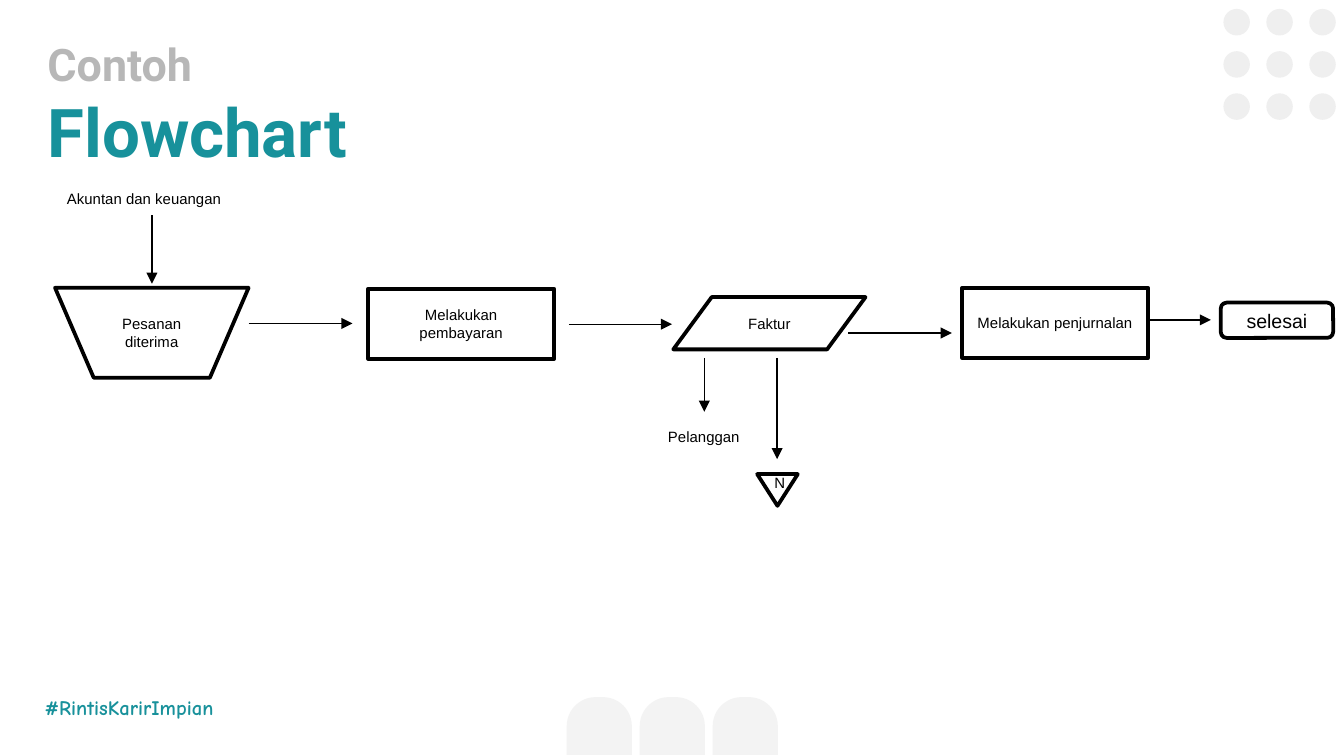
from itertools import product

from lxml import etree
from pptx import Presentation
from pptx.dml import color
from pptx.enum import shapes, text
from pptx.oxml import ns
from pptx.util import Pt

BLACK, WHITE, TEAL = "000000", "FFFFFF", "18919B"
Kind = shapes.MSO_SHAPE


def paint(target, hex_color):
    """Give a fill a solid colour."""
    target.solid()
    target.fore_color.rgb = color.RGBColor.from_string(hex_color)


def style_text(para, size, hex_color, font="Arial", bold=False):
    """Format every run of a paragraph."""
    for span in para.runs:
        span.font.size = Pt(size)
        span.font.name = font
        span.font.bold = bold
        span.font.color.rgb = color.RGBColor.from_string(hex_color)


def add_plain(page, kind, box, fill):
    """Add a filled preset shape without shadow or outline."""
    shape = page.shapes.add_shape(kind, *map(Pt, box))
    shape.shadow.inherit = False
    paint(shape.fill, fill)
    shape.line.fill.background()
    return shape


def add_node(page, kind, box, label, size=8):
    """Add an outlined flowchart symbol with a centred label."""
    node = add_plain(page, kind, box, WHITE)
    paint(node.line.fill, BLACK)
    node.line.width = Pt(2)
    node.text_frame.text = label
    para = node.text_frame.paragraphs[0]
    para.alignment = text.PP_ALIGN.CENTER
    style_text(para, size, BLACK)


def add_arrow(page, start, end):
    """Add a thin black arrow between two points."""
    arrow = page.shapes.add_connector(
        shapes.MSO_CONNECTOR.STRAIGHT, *map(Pt, start + end))
    paint(arrow.line.fill, BLACK)
    arrow.line.width = Pt(0.75)
    properties = arrow._element.spPr
    etree.SubElement(arrow.line._get_or_add_ln(), ns.qn("a:tailEnd"), type="triangle")
    etree.SubElement(properties, ns.qn("a:effectLst"))


def add_label(page, box, label, size=8, hex_color=BLACK, font="Arial", bold=False, wrap=False):
    """Add a one-line text box."""
    frame = page.shapes.add_textbox(*map(Pt, box)).text_frame
    frame.word_wrap = wrap
    frame.text = label
    style_text(frame.paragraphs[0], size, hex_color, font, bold)
    return frame


def add_arches(page, left, top):
    """Add the row of three arches at the foot of the page."""
    for column in range(3):
        arch = add_plain(page, Kind.ROUND_2_SAME_RECTANGLE,
                         (left + column * 39.1, top, 34.9, 31), "F3F3F3")
        arch.adjustments[0] = 0.5
        arch.adjustments[1] = 0


def add_dots(page, left, top):
    """Add the three by three grid of dots in the corner."""
    for row, column in product(range(3), repeat=2):
        add_plain(page, Kind.OVAL,
                  (left + column * 23, top + row * 22.6, 14.2, 14.2), "EFEFEF")


def add_heading(page, box):
    """Place and format the two-line title."""
    title = page.shapes.title
    title.left, title.top, title.width, title.height = map(Pt, box)
    frame = title.text_frame
    frame.text = "Contoh\nFlowchart"
    frame.auto_size = text.MSO_AUTO_SIZE.NONE
    frame.vertical_anchor = text.MSO_ANCHOR.TOP
    frame.margin_left = frame.margin_right = frame.margin_bottom = 0
    frame.margin_top = Pt(0.72)
    for para, size, hue in zip(frame.paragraphs, (24, 36), ("B7B7B7", "17919B")):
        para.alignment = text.PP_ALIGN.LEFT
        para._p.get_or_add_pPr().set("marL", str(Pt(0.9)))
        style_text(para, size, hue, "Roboto", True)


def add_hashtag(page, box):
    """Add the hashtag in the lower left corner."""
    frame = add_label(page, box, "#RintisKarirImpian", 11, TEAL, "Comic Neue", True, True)
    frame.margin_left = frame.margin_right = Pt(7.2)
    frame.margin_top = frame.margin_bottom = Pt(7.2)


def add_flowchart(page, left, top):
    """Add the flowchart, with its parts placed from its top left corner."""
    nodes = [
        (Kind.FLOWCHART_MANUAL_OPERATION, (0.7, 56.2, 103.7, 48.2), "Pesanan diterima", 8),
        (Kind.FLOWCHART_PROCESS, (168.5, 56.7, 99.6, 37.6), "Melakukan pembayaran", 8),
        (Kind.FLOWCHART_DATA, (331.9, 61.2, 103, 28), "Faktur", 8),
        (Kind.FLOWCHART_PROCESS, (486.7, 56.2, 99.4, 37.6), "Melakukan penjurnalan", 8),
        (Kind.FLOWCHART_ALTERNATE_PROCESS, (625.2, 64.1, 60.2, 18.9), "selesai", 10.5),
        (Kind.FLOWCHART_MERGE, (376.8, 156, 21.8, 17), "N", 8),
    ]
    arrows = [
        ((52.6, 17.3), (52.6, 54)),
        ((104.4, 75.3), (160, 75.3)),
        ((276, 75.7), (331.2, 75.7)),
        ((425.7, 80.4), (481.1, 80.4)),
        ((586.1, 73.4), (619.9, 73.4)),
        ((348.5, 93.8), (348.5, 122.6)),
        ((387.5, 93.8), (387.5, 148)),
    ]
    labels = [
        ((0, 0, 98.6, 17), "Akuntan dan keuangan"),
        ((322, 127.3, 53.3, 17), "Pelanggan"),
    ]
    for kind, (x, y, width, height), label, size in nodes:
        add_node(page, kind, (left + x, top + y, width, height), label, size)
    for start, end in arrows:
        add_arrow(page, *((left + x, top + y) for x, y in (start, end)))
    for (x, y, width, height), label in labels:
        add_label(page, (left + x, top + y, width, height), label)


def main():
    """Build and save the slide."""
    deck = Presentation()
    deck.slide_width, deck.slide_height = Pt(720), Pt(405)
    page = deck.slides.add_slide(deck.slide_layouts[5])
    add_arches(page, 303.6, 373.5)
    add_dots(page, 655.4, 4.8)
    add_hashtag(page, (16.8, 365.8, 113, 28))
    add_heading(page, (24.5, 18.7, 671.8, 73.4))
    add_flowchart(page, 28.8, 98)
    deck.save("out.pptx")


if __name__ == "__main__":
    main()
